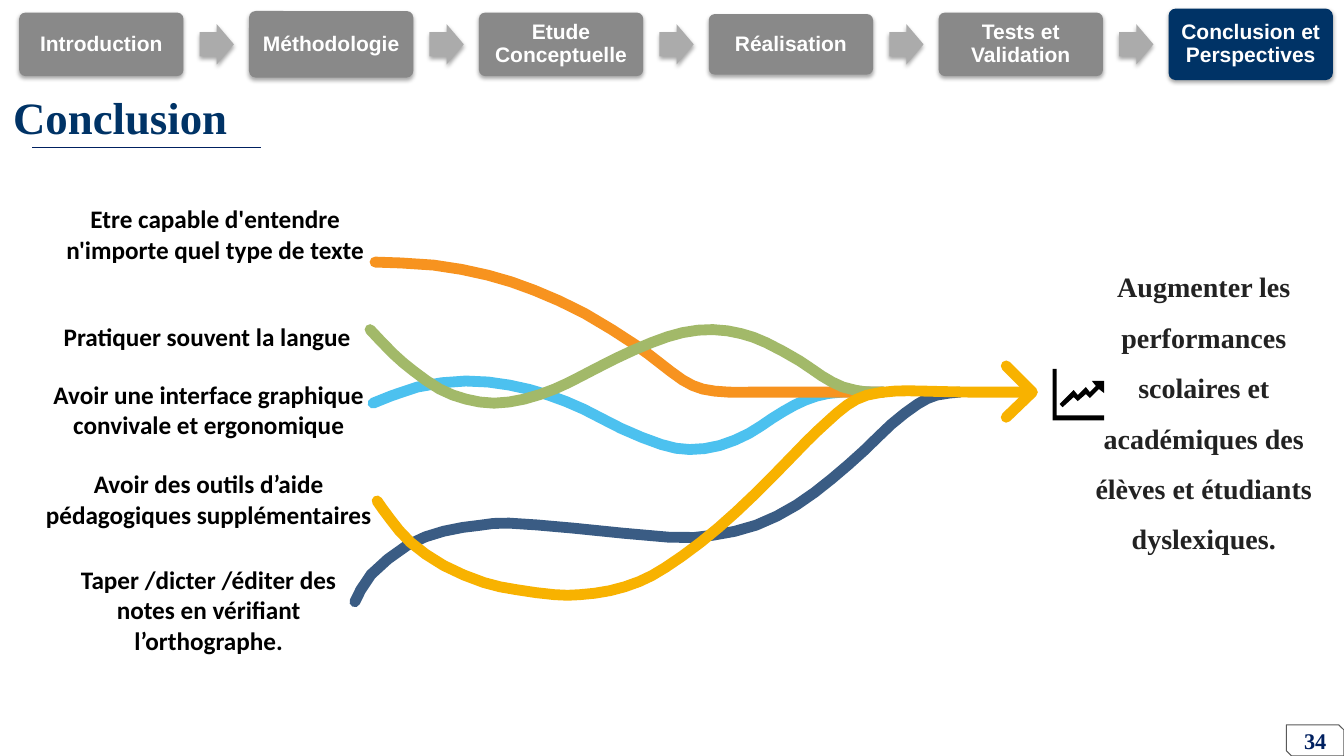
from lxml import etree
from pptx import Presentation
from pptx.dml.color import RGBColor as Rgb
from pptx.enum.shapes import MSO_CONNECTOR as Link, MSO_SHAPE as Kind
from pptx.enum.text import MSO_ANCHOR as Anchor, PP_ALIGN as Align
from pptx.oxml import parse_xml
from pptx.oxml.ns import nsdecls, qn
from pptx.util import Inches, Pt

WIDE, HIGH = Inches(13.33), Inches(7.5)
COLS, ROWS = 13.33, 7.5
INK = {
    "navy": "003366", "deep": "002060", "gray": "898989", "arrow": "ABABAB",
    "white": "FFFFFF", "black": "000000", "dark": "222222", "edge": "595959",
    "steel": "3A5C84", "sky": "4CC1EF", "orange": "F7931F",
    "green": "A2B969", "gold": "F8B200",
}
STEPS = [
    ("Introduction", 0.63), ("Méthodologie", 0.66),
    ("Etude Conceptuelle", 0.63), ("Réalisation", 0.6),
    ("Tests et Validation", 0.63), ("Conclusion et Perspectives", 0.71),
]
GOALS = [
    ("Etre capable d'entendre n'importe quel type de texte", 0.41, 1.96, 3.45, 0.71),
    ("Pratiquer souvent la langue", 0.42, 3.14, 3.27, 0.4),
    ("Avoir une interface graphique convivale et ergonomique", 0.28, 3.7, 3.58, 0.71),
    ("Avoir des outils d’aide pédagogiques supplémentaires", 0.28, 4.59, 3.58, 0.71),
    ("Taper /dicter /éditer des notes en vérifiant l’orthographe.", 0.64, 5.54, 2.86, 1.01),
]
CURVES = {
    "steel": [(3.52, 5.97), (3.68, 5.7), (4.04, 5.41), (4.4, 5.27), (4.77, 5.21),
              (5.05, 5.19), (5.69, 5.24), (6.64, 5.33), (7.07, 5.31), (7.5, 5.21),
              (7.9, 5.01), (8.25, 4.75), (8.57, 4.47), (8.84, 4.21), (9.1, 4.01),
              (9.29, 3.92), (9.52, 3.89)],
    "sky": [(3.7, 4), (4.14, 3.84), (4.62, 3.78), (5.05, 3.82), (5.44, 3.92),
            (5.79, 4.06), (6.16, 4.25), (6.56, 4.41), (6.84, 4.46), (7.14, 4.42),
            (7.43, 4.3), (7.66, 4.15), (7.88, 4.02), (8.1, 3.93), (8.35, 3.89),
            (8.76, 3.89)],
    "orange": [(3.72, 2.6), (4.3, 2.63), (4.84, 2.73), (5.3, 2.88), (5.8, 3.11),
               (6.3, 3.42), (6.53, 3.59), (6.77, 3.77), (6.97, 3.86), (7.22, 3.89),
               (7.5, 3.89), (8.76, 3.89)],
    "green": [(3.67, 3.27), (3.9, 3.51), (4.1, 3.68), (4.36, 3.86), (4.62, 3.96),
              (4.9, 4), (5.2, 3.96), (5.5, 3.86), (5.75, 3.74), (6.1, 3.56),
              (6.46, 3.4), (6.77, 3.3), (7.07, 3.27), (7.35, 3.31), (7.6, 3.4),
              (7.93, 3.58), (8.15, 3.73), (8.36, 3.84), (8.6, 3.89), (8.76, 3.89)],
    "gold": [(3.74, 4.97), (3.87, 5.15), (4.07, 5.38), (4.4, 5.61), (4.8, 5.78),
             (5.12, 5.85), (5.5, 5.9), (5.75, 5.9), (6.05, 5.86), (6.34, 5.77),
             (6.6, 5.63), (6.95, 5.38), (7.3, 5.08), (7.66, 4.73), (8, 4.38),
             (8.2, 4.19), (8.4, 4.02), (8.6, 3.92), (8.88, 3.88), (9.15, 3.88),
             (9.6, 3.89), (10.22, 3.89)],
}
HEAD = [(9.98, 3.63), (10.24, 3.89), (9.98, 4.14)]
AXES = [(10.48, 3.66), (10.44, 3.66), (10.44, 4.17), (10.95, 4.17), (10.95, 4.12),
        (10.48, 4.12)]
TREND = [(10.83, 3.78), (10.87, 3.83), (10.81, 3.89), (10.77, 3.84), (10.69, 3.92),
         (10.65, 3.87), (10.51, 4.01), (10.54, 4.04), (10.65, 3.94), (10.69, 3.98),
         (10.77, 3.91), (10.81, 3.95), (10.9, 3.86), (10.95, 3.9), (10.95, 3.78)]


def grid(x, y):
    """Turn a column and a row into slide lengths."""
    return round(x * WIDE / COLS), round(y * HIGH / ROWS)


def tint(shape, name):
    """Fill a shape plainly, without line or shadow."""
    shape.shadow.inherit = False
    shape.fill.solid()
    shape.fill.fore_color.rgb = Rgb.from_string(INK[name])
    shape.line.fill.background()


def stroke(shape, name, size):
    """Set the colour and width of a line."""
    shape.line.color.rgb = Rgb.from_string(INK[name])
    shape.line.width = Pt(size)


def write(shape, text, font, size, name, pad, align=Align.CENTER,
          anchor=Anchor.MIDDLE, gap=None):
    """Put one bold paragraph in a shape."""
    frame = shape.text_frame
    frame.text = text
    frame.word_wrap = True
    frame.vertical_anchor = anchor
    frame.margin_left = frame.margin_right = Inches(pad[0])
    frame.margin_top = frame.margin_bottom = Inches(pad[1])
    line = frame.paragraphs[0]
    line.alignment = align
    line.line_spacing = gap
    face = line.runs[0].font
    face.name, face.size, face.bold = font, Pt(size), True
    face.color.rgb = Rgb.from_string(INK[name])


def label(slide, text, x, y, w, h, font, size, name, gap=None):
    """Add a text box that rests on its lower edge."""
    box = slide.shapes.add_textbox(*grid(x, y), *grid(w, h))
    write(box, text, font, size, name, (0, 0.05), anchor=Anchor.BOTTOM, gap=gap)


def block(slide, kind, x, y, w, h, name, bends):
    """Add a filled shape with a soft shadow below."""
    shape = slide.shapes.add_shape(kind, *grid(x, y), *grid(w, h))
    for i, bend in enumerate(bends):
        shape.adjustments[i] = bend
    tint(shape, name)
    glow = shape._element.spPr.find(qn("a:effectLst"))
    glow.append(parse_xml(
        f'<a:outerShdw {nsdecls("a")} blurRad="{Pt(3.1)}" dist="{Pt(1.8)}" '
        'dir="5400000" rotWithShape="0"><a:srgbClr val="000000">'
        '<a:alpha val="35000"/></a:srgbClr></a:outerShdw>'))
    return shape


def steps(slide):
    """Draw the chain of chapters along the top."""
    last = len(STEPS) - 1
    for i, (text, h) in enumerate(STEPS):
        x = 0.19 + 2.28 * i
        name = "navy" if i == last else "gray"
        card = block(slide, Kind.ROUNDED_RECTANGLE, x, 0.44 - h / 2, 1.63, h, name, [0.1])
        write(card, text, "Arial", 15, "white", (0.08, 0.06), gap=0.9)
        if i < last:
            block(slide, Kind.RIGHT_ARROW, x + 1.79, 0.24, 0.34, 0.4, "arrow", [0.6, 0.5])


def trace(slide, dots, close):
    """Add a freeform through the dots."""
    dots = [grid(*dot) for dot in dots]
    form = slide.shapes.build_freeform(*dots[0], scale=1.0)
    form.add_line_segments(dots[1:], close=close)
    return form.convert_to_shape()


def blend(a, b, c, d):
    """Find the middle of the smooth span from b to c."""
    return tuple((9 * (q + r) - p - s) / 16 for p, q, r, s in zip(a, b, c, d))


def smooth(knots):
    """Add a point in the middle of each span."""
    ends = [knots[0], *knots, knots[-1]]
    dots = [knots[0]]
    for i, knot in enumerate(knots[1:]):
        dots += [blend(*ends[i:i + 4]), knot]
    return dots


def band(slide, dots, name):
    """Draw a thick round line along the dots."""
    shape = trace(slide, dots, False)
    shape.shadow.inherit = False
    shape.fill.background()
    stroke(shape, name, 7.75)
    line = shape._element.spPr.find(qn("a:ln"))
    line.set("cap", "rnd")
    etree.SubElement(line, qn("a:round"))


def rule(slide):
    """Draw the thin line under the title."""
    line = slide.shapes.add_connector(Link.STRAIGHT, *grid(0.32, 1.46), *grid(2.59, 1.46))
    stroke(line, "deep", 0.75)
    etree.SubElement(line._element.spPr, qn("a:effectLst"))


def number(slide):
    """Draw the page number in its corner."""
    tab = slide.shapes.add_shape(Kind.SNIP_2_DIAG_RECTANGLE, *grid(12.76, 7.19), *grid(0.57, 0.31))
    tab.shadow.inherit = False
    tab.fill.background()
    stroke(tab, "edge", 0.75)
    write(tab, "34", "Times New Roman", 16, "deep", (0.13, 0.13))


def main():
    """Build and save the slide."""
    deck = Presentation()
    deck.slide_width, deck.slide_height = WIDE, HIGH
    slide = deck.slides.add_slide(deck.slide_layouts[5])
    title = slide.shapes.title
    title.left, title.top = grid(0, 0.77)
    title.width, title.height = grid(5.21, 0.77)
    write(title, "Conclusion", "Times New Roman", 32, "navy", (0.13, 0.13), Align.LEFT)
    rule(slide)
    steps(slide)
    for name, knots in CURVES.items():
        band(slide, smooth(knots), name)
    band(slide, HEAD, "gold")
    for goal in GOALS:
        label(slide, *goal, "Calibri", 18, "black")
    for dots in (AXES, TREND):
        tint(trace(slide, dots, True), "black")
    label(slide, "Augmenter les performances scolaires et académiques des élèves et "
          "étudiants dyslexiques.", 10.74, 2.46, 2.4, 3.1, "Times New Roman", 20, "dark", 1.5)
    number(slide)
    deck.save("out.pptx")


if __name__ == "__main__":
    main()
